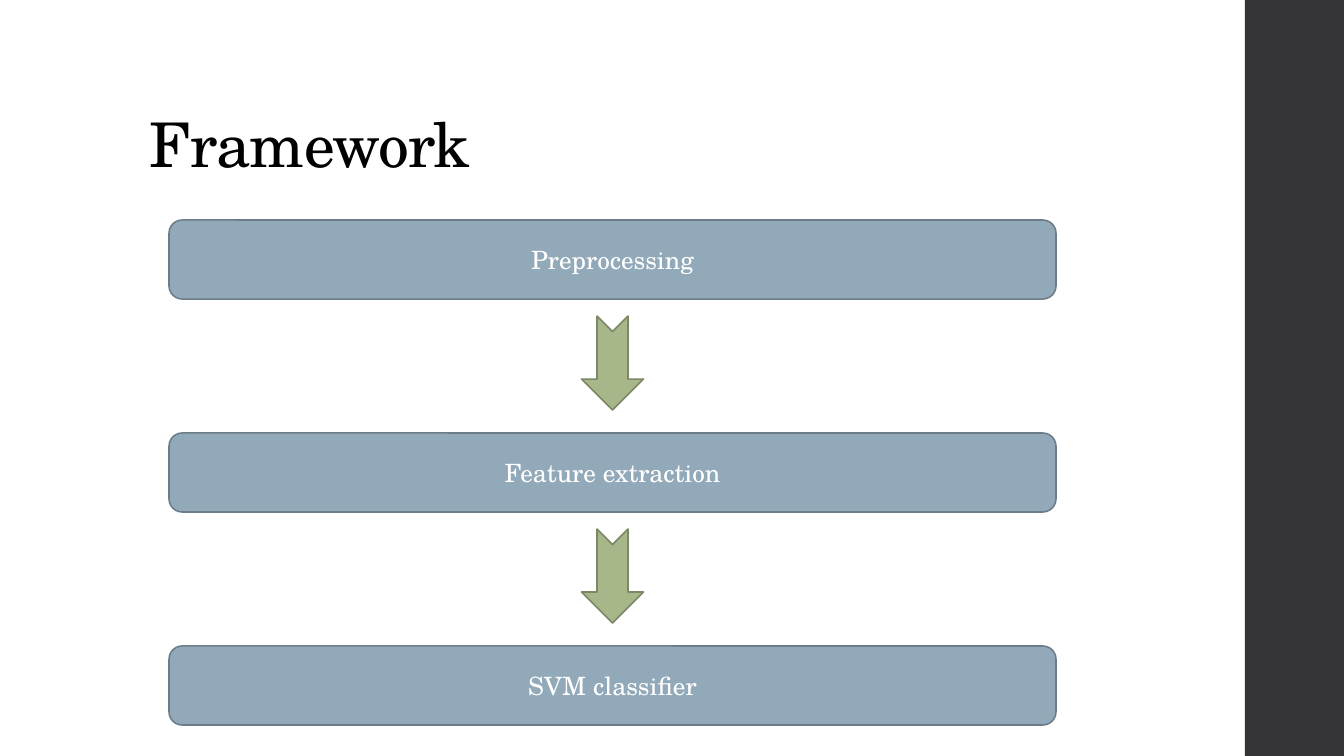
import pptx
import pptx.util
import pptx.dml.color
import pptx.enum.shapes
import pptx.enum.text

TITLE = "Framework"
STEPS = ["Preprocessing", "Feature extraction", "SVM classifier"]
FONT = "TeX Gyre Schola"
COLORS = {
    "bar": "353537",
    "title": "000000",
    "text": "FFFFFF",
    "box": "92A9B9",
    "box edge": "6C7D89",
    "arrow": "A7B789",
    "arrow edge": "7C8765",
}

SCALE = 914400 / 100.8
WIDE, HIGH = 1344, 756
BAR_X, BAR_W = 1245, 101
BOX_X, BOX_Y, BOX_W, BOX_H = 169, 220, 887, 79
PITCH = 213
ARROW_W, ARROW_H = 94, 62
ARROW_MID = 143

KINDS = pptx.enum.shapes.MSO_SHAPE
ALIGN = pptx.enum.text.PP_ALIGN
ANCHOR = pptx.enum.text.MSO_ANCHOR


def px(size):
    return pptx.util.Emu(round(size * SCALE))


def color(name):
    return pptx.dml.color.RGBColor.from_string(COLORS[name])


def add_part(slide, kind, name, left, top, width, height, edge=True):
    part = slide.shapes.add_shape(kind, px(left), px(top), px(width), px(height))
    part.shadow.inherit = False
    part.fill.solid()
    part.fill.fore_color.rgb = color(name)
    if edge:
        part.line.color.rgb = color(name + " edge")
        part.line.width = pptx.util.Pt(1.1)
    else:
        part.line.fill.background()
    return part


def set_text(shape, text, size, name, align, anchor):
    frame = shape.text_frame
    frame.text = text
    frame.word_wrap = True
    frame.vertical_anchor = anchor
    para = frame.paragraphs[0]
    para.alignment = align
    para.font.name = FONT
    para.font.size = pptx.util.Pt(size)
    para.font.color.rgb = color(name)
    return para


def main():
    deck = pptx.Presentation()
    deck.slide_width, deck.slide_height = px(WIDE), px(HIGH)
    slide = deck.slides.add_slide(deck.slide_layouts[5])

    add_part(slide, KINDS.RECTANGLE, "bar", BAR_X, 0, BAR_W, HIGH, edge=False)

    title = slide.shapes.title
    title.left, title.top, title.width, title.height = map(px, (139, 40, 1068, 146))
    para = set_text(title, TITLE, 44, "title", ALIGN.LEFT, ANCHOR.BOTTOM)
    para.line_spacing = 0.9
    para.runs[0]._r.get_or_add_rPr().set("spc", "-50")

    mid = BOX_X + BOX_W / 2
    for i, step in enumerate(STEPS):
        top = BOX_Y + i * PITCH
        box = add_part(slide, KINDS.ROUNDED_RECTANGLE, "box", BOX_X, top, BOX_W, BOX_H)
        set_text(box, step, 18, "text", ALIGN.CENTER, ANCHOR.MIDDLE)
        if i < len(STEPS) - 1:
            arrow = add_part(slide, KINDS.NOTCHED_RIGHT_ARROW, "arrow",
                             mid - ARROW_W / 2, top + ARROW_MID - ARROW_H / 2,
                             ARROW_W, ARROW_H)
            arrow.rotation = 90

    deck.save("out.pptx")


if __name__ == "__main__":
    main()
